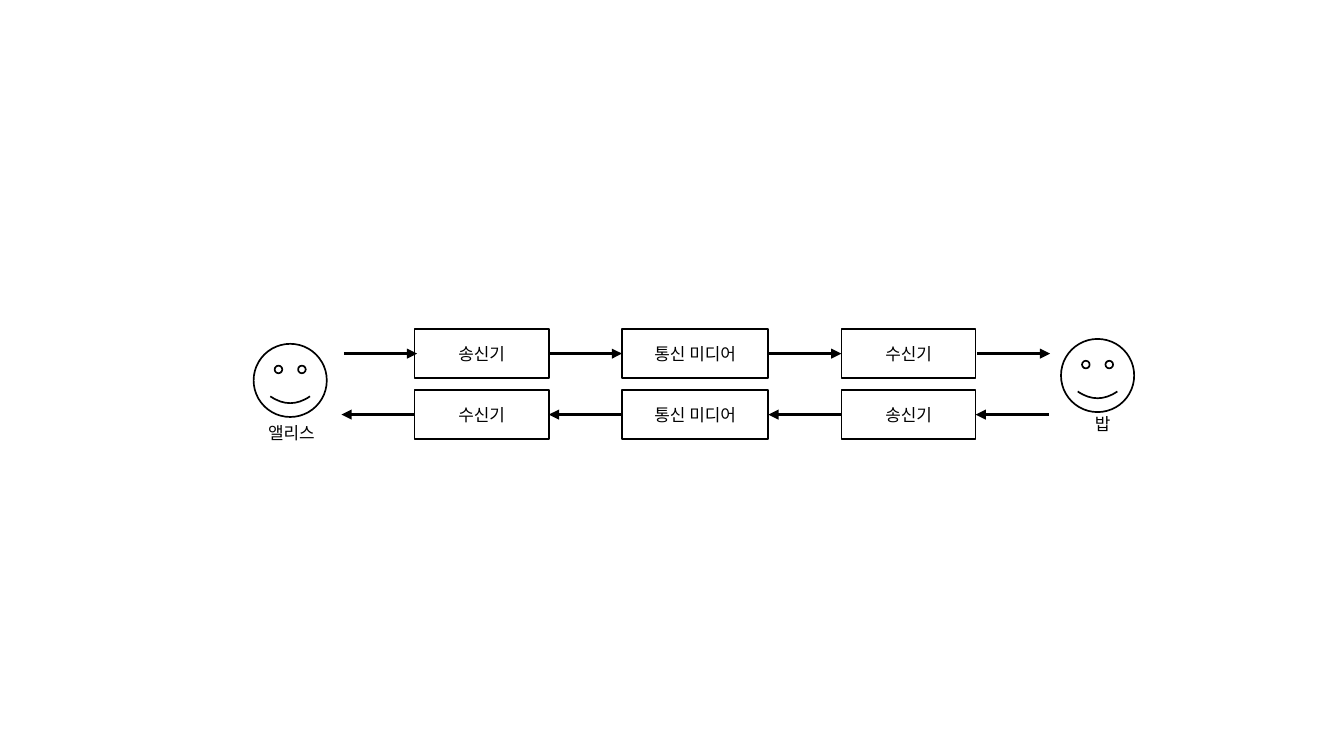
import dataclasses

import pptx
import pptx.dml.color
import pptx.enum.shapes
import pptx.enum.text
import pptx.oxml
import pptx.oxml.ns
import pptx.util

Inches = pptx.util.Inches
Pt = pptx.util.Pt
Shape = pptx.enum.shapes.MSO_SHAPE
Align = pptx.enum.text.PP_ALIGN


@dataclasses.dataclass(frozen=True)
class Theme:
    ink: pptx.dml.color.RGBColor = pptx.dml.color.RGBColor(0, 0, 0)
    font: str = "Arial"
    text_size: int = 10
    outline: float = 1
    hairline: float = 0


THEME = Theme()
LEFT_SIDE, RIGHT_SIDE = 1, 3


def write(shape, text, alignment, margin_x, margin_y):
    frame = shape.text_frame
    frame.word_wrap = False
    frame.margin_left = frame.margin_right = Inches(margin_x)
    frame.margin_top = frame.margin_bottom = Inches(margin_y)
    paragraph = frame.paragraphs[0]
    paragraph.alignment = alignment
    run = paragraph.add_run()
    run.text = text
    run.font.name = THEME.font
    run.font.size = Pt(THEME.text_size)
    run.font.color.rgb = THEME.ink


def add_outline(shapes, preset, left, top, width, height):
    shape = shapes.add_shape(preset, Inches(left), Inches(top),
                             Inches(width), Inches(height))
    shape.shadow.inherit = False
    shape.fill.background()
    shape.line.color.rgb = THEME.ink
    shape.line.width = Pt(THEME.outline)
    return shape


def add_arrow(slide, start_x, end_x, y):
    arrow = slide.shapes.add_connector(
        pptx.enum.shapes.MSO_CONNECTOR.STRAIGHT,
        Inches(start_x), Inches(y), Inches(end_x), Inches(y))
    arrow.line.color.rgb = THEME.ink
    arrow.line.width = Pt(THEME.hairline)
    line = arrow.line._get_or_add_ln()
    line.append(pptx.oxml.parse_xml(
        f'<a:tailEnd {pptx.oxml.ns.nsdecls("a")} type="triangle"/>'))
    arrow._element.spPr.append(pptx.oxml.parse_xml(
        f'<a:effectLst {pptx.oxml.ns.nsdecls("a")}/>'))
    return arrow


def add_channel(slide, left, top, labels, forward, outer_shifts=(0, 0)):
    """One row of three stages, with an arrow in every gap and at both ends."""
    widths, height, gap = (1.1, 1.2, 1.1), 0.4, 0.6

    # Stages
    stages, edges, x = [], [left], left
    for label, width in zip(labels, widths):
        stage = add_outline(slide.shapes, Shape.RECTANGLE, x, top, width, height)
        stage.text_frame.vertical_anchor = pptx.enum.text.MSO_ANCHOR.MIDDLE
        write(stage, label, Align.CENTER, 0.11, 0.06)
        stages.append(stage)
        x += width
        edges.append(x)
        x += gap

    # Arrows, running left to right or right to left
    spans = [(left - gap, None, stages[0], outer_shifts[0])]
    for index, (before, after) in enumerate(zip(stages, stages[1:])):
        spans.append((edges[index + 1], before, after, 0))
    spans.append((edges[-1], stages[-1], None, outer_shifts[1]))
    for start, before, after, shift in spans:
        ends = [(start + shift, before, RIGHT_SIDE),
                (start + shift + gap, after, LEFT_SIDE)]
        if not forward:
            ends.reverse()
        arrow = add_arrow(slide, ends[0][0], ends[1][0], top + height / 2)
        for (_, stage, side), connect in zip(
                ends, (arrow.begin_connect, arrow.end_connect)):
            if stage is not None and not shift:
                connect(stage, side)


def add_person(slide, left, top, name, name_box):
    """A face with a name; name_box is offset x, offset y and width."""
    group = slide.shapes.add_group_shape()
    face = add_outline(group.shapes, Shape.SMILEY_FACE, left, top, 0.6, 0.6)
    face.adjustments[0] = 0.093
    offset_x, offset_y, width = name_box
    label = group.shapes.add_textbox(Inches(left + offset_x), Inches(top + offset_y),
                                     Inches(width), Inches(0.3))
    write(label, name, Align.LEFT, 0.1, 0.05)
    label.text_frame.auto_size = pptx.enum.text.MSO_AUTO_SIZE.SHAPE_TO_FIT_TEXT


def main():
    presentation = pptx.Presentation()
    presentation.slide_width = Inches(11.02)
    presentation.slide_height = Inches(6.2)
    slide = presentation.slides.add_slide(presentation.slide_layouts[6])

    # Channels between the two people
    sender, medium, receiver = "송신기", "통신 미디어", "수신기"
    add_channel(slide, 3.4, 2.7, (sender, medium, receiver), True, (0.02, 0.01))
    add_channel(slide, 3.4, 3.2, (receiver, medium, sender), False)

    # People
    add_person(slide, 2.08, 2.82, "앨리스", (0.02, 0.6, 0.58))
    add_person(slide, 8.7, 2.78, "밥", (0.18, 0.56, 0.32))

    presentation.save("out.pptx")


if __name__ == "__main__":
    main()
